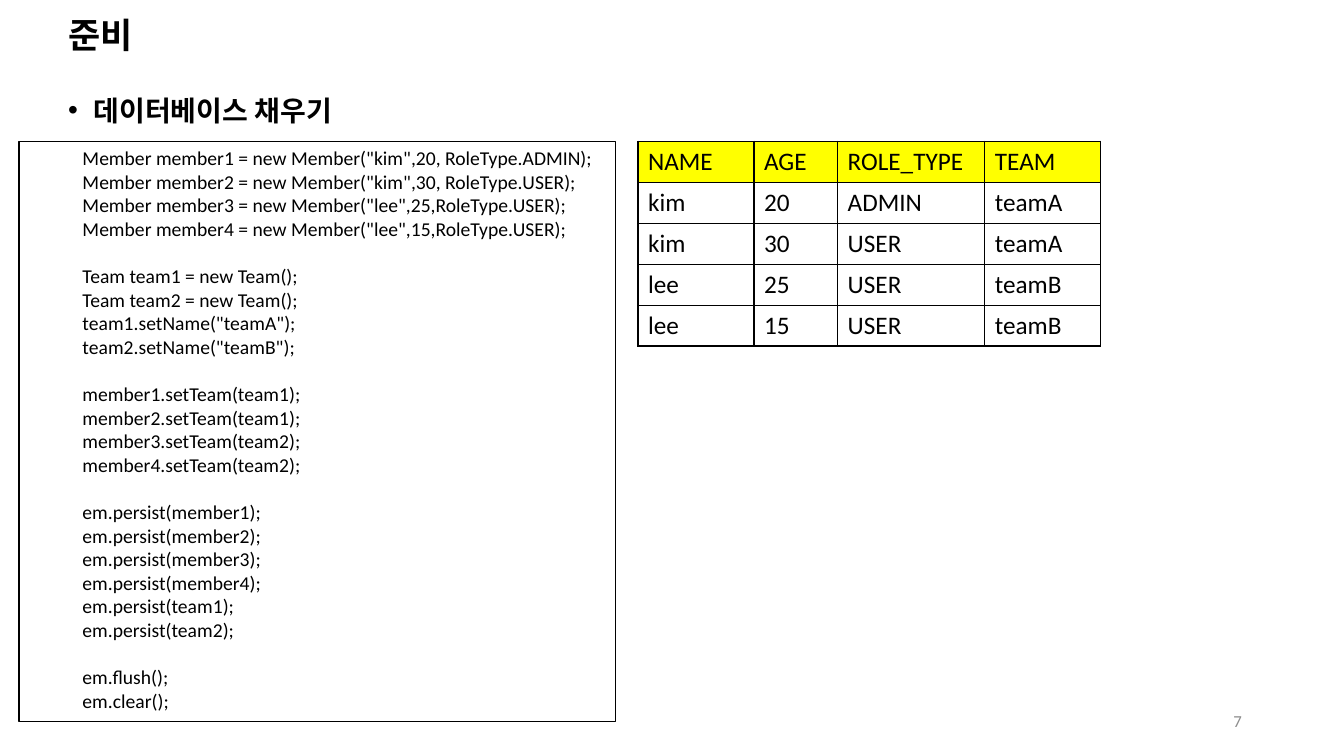
from dataclasses import dataclass

from lxml.etree import SubElement
from pptx import Presentation
from pptx.dml.color import RGBColor
from pptx.enum.shapes import MSO_SHAPE
from pptx.enum.text import MSO_ANCHOR, PP_ALIGN
from pptx.oxml.ns import qn
from pptx.util import Cm, Pt


@dataclass(frozen=True)
class Theme:
    """Colours, fonts and sizes of the slide."""
    ink: str = "000000"
    muted: str = "8C8C8C"
    header: str = "FFFF00"
    heading_font: str = "Arial"
    body_font: str = "Calibri"
    title_size: float = 25
    topic_size: float = 20
    table_size: float = 18
    code_size: float = 14
    number_size: float = 12
    code_gap: float = 17
    frame_width: float = 0.75
    grid_width: float = 1


THEME = Theme()
CODE_GROUPS = [
    ['Member member1 = new Member("kim",20, RoleType.ADMIN);',
     'Member member2 = new Member("kim",30, RoleType.USER);',
     'Member member3 = new Member("lee",25,RoleType.USER);',
     'Member member4 = new Member("lee",15,RoleType.USER);'],
    ["Team team1 = new Team();", "Team team2 = new Team();",
     'team1.setName("teamA");', 'team2.setName("teamB");'],
    [f"member{n}.setTeam(team{(n + 1) // 2});" for n in range(1, 5)],
    [f"em.persist({entity});" for entity in
     ("member1", "member2", "member3", "member4", "team1", "team2")],
    ["em.flush();", "em.clear();"],
]
MEMBERS = [
    ("NAME", "AGE", "ROLE_TYPE", "TEAM"),
    ("kim", "20", "ADMIN", "teamA"),
    ("kim", "30", "USER", "teamA"),
    ("lee", "25", "USER", "teamB"),
    ("lee", "15", "USER", "teamB"),
]
COLUMN_WIDTHS = (2.92, 2.11, 3.71, 2.92)


def write(paragraph, text, size, font=THEME.body_font, color=THEME.ink, bold=False,
          align=PP_ALIGN.LEFT, line_spacing=None, before=0):
    """Write one formatted run into a paragraph."""
    run = paragraph.add_run()
    run.text = text
    run.font.size = Pt(size)
    run.font.name = font
    run.font.bold = bold
    run.font.color.rgb = RGBColor.from_string(color)
    paragraph.alignment = align
    paragraph.line_spacing = line_spacing
    paragraph.space_before = Pt(before)


def indent(paragraph, left, first=0, bullet=None):
    """Set the indents of a paragraph and its optional bullet."""
    properties = paragraph._p.get_or_add_pPr()
    properties.set("marL", str(Cm(left)))
    properties.set("indent", str(Cm(first)))
    if bullet:
        SubElement(properties, qn("a:buFont"), typeface=THEME.heading_font)
        SubElement(properties, qn("a:buChar"), char=bullet)


def add_label(slide, box, text, anchor=MSO_ANCHOR.TOP, **style):
    """Add a one-paragraph text box and return its paragraph."""
    frame = slide.shapes.add_textbox(*map(Cm, box)).text_frame
    frame.word_wrap = True
    frame.vertical_anchor = anchor
    write(frame.paragraphs[0], text, **style)
    return frame.paragraphs[0]


def add_heading(slide, box):
    """Place the title and, below it, the bulleted topic."""
    left, top, width, height = box
    heading = dict(font=THEME.heading_font, bold=True)
    add_label(slide, (left, top, width, height), "준비", anchor=MSO_ANCHOR.MIDDLE,
              size=THEME.title_size, line_spacing=0.9, **heading)
    topic = add_label(slide, (left, top + 1.35, width, 1.6), "데이터베이스 채우기",
                      size=THEME.topic_size, align=PP_ALIGN.JUSTIFY,
                      line_spacing=1.5, before=10, **heading)
    indent(topic, 0.64, -0.64, "•")


def add_code(slide, box):
    """Place the framed code listing, with a gap between its groups."""
    listing = slide.shapes.add_shape(MSO_SHAPE.RECTANGLE, *map(Cm, box))
    listing.shadow.inherit = False
    listing.fill.background()
    listing.line.color.rgb = RGBColor.from_string(THEME.ink)
    listing.line.width = Pt(THEME.frame_width)
    frame = listing.text_frame
    frame.word_wrap = True
    frame.vertical_anchor = MSO_ANCHOR.TOP
    paragraph = frame.paragraphs[0]
    for group_index, group in enumerate(CODE_GROUPS):
        for line_index, line in enumerate(group):
            starts_group = group_index > 0 and line_index == 0
            if group_index or line_index:
                paragraph = frame.add_paragraph()
            write(paragraph, line, THEME.code_size,
                  before=THEME.code_gap if starts_group else 0)
            indent(paragraph, 1.35)


def outline(cell):
    """Draw the four borders of a table cell."""
    properties = cell._tc.get_or_add_tcPr()
    for position, side in enumerate(("a:lnL", "a:lnR", "a:lnT", "a:lnB")):
        border = properties.makeelement(qn(side), {"w": str(Pt(THEME.grid_width))})
        color = SubElement(SubElement(border, qn("a:solidFill")), qn("a:srgbClr"))
        color.set("val", THEME.ink)
        properties.insert(position, border)


def add_members(slide, box):
    """Place the member table with its highlighted header row."""
    table = slide.shapes.add_table(len(MEMBERS), len(COLUMN_WIDTHS), *map(Cm, box)).table
    table.horz_banding = False
    table.first_row = False
    for column, width in zip(table.columns, COLUMN_WIDTHS):
        column.width = Cm(width)
    for row_index, member in enumerate(MEMBERS):
        for column_index, value in enumerate(member):
            cell = table.cell(row_index, column_index)
            if row_index == 0:
                cell.fill.solid()
                cell.fill.fore_color.rgb = RGBColor.from_string(THEME.header)
            else:
                cell.fill.background()
            write(cell.text_frame.paragraphs[0], value, THEME.table_size)
            outline(cell)


def main():
    """Build and save the slide."""
    deck = Presentation()
    deck.slide_width, deck.slide_height = Cm(33.87), Cm(19.05)
    slide = deck.slides.add_slide(deck.slide_layouts[6])
    add_heading(slide, (1.47, 0.46, 29.21, 0.97))
    add_label(slide, (23.93, 17.65, 7.62, 1.02), "7", anchor=MSO_ANCHOR.MIDDLE,
              size=THEME.number_size, color=THEME.muted, align=PP_ALIGN.RIGHT)
    add_code(slide, (0.48, 3.56, 15.04, 14.63))
    add_members(slide, (16.08, 3.56, 11.66, 5.16))
    deck.save("out.pptx")


if __name__ == "__main__":
    main()
